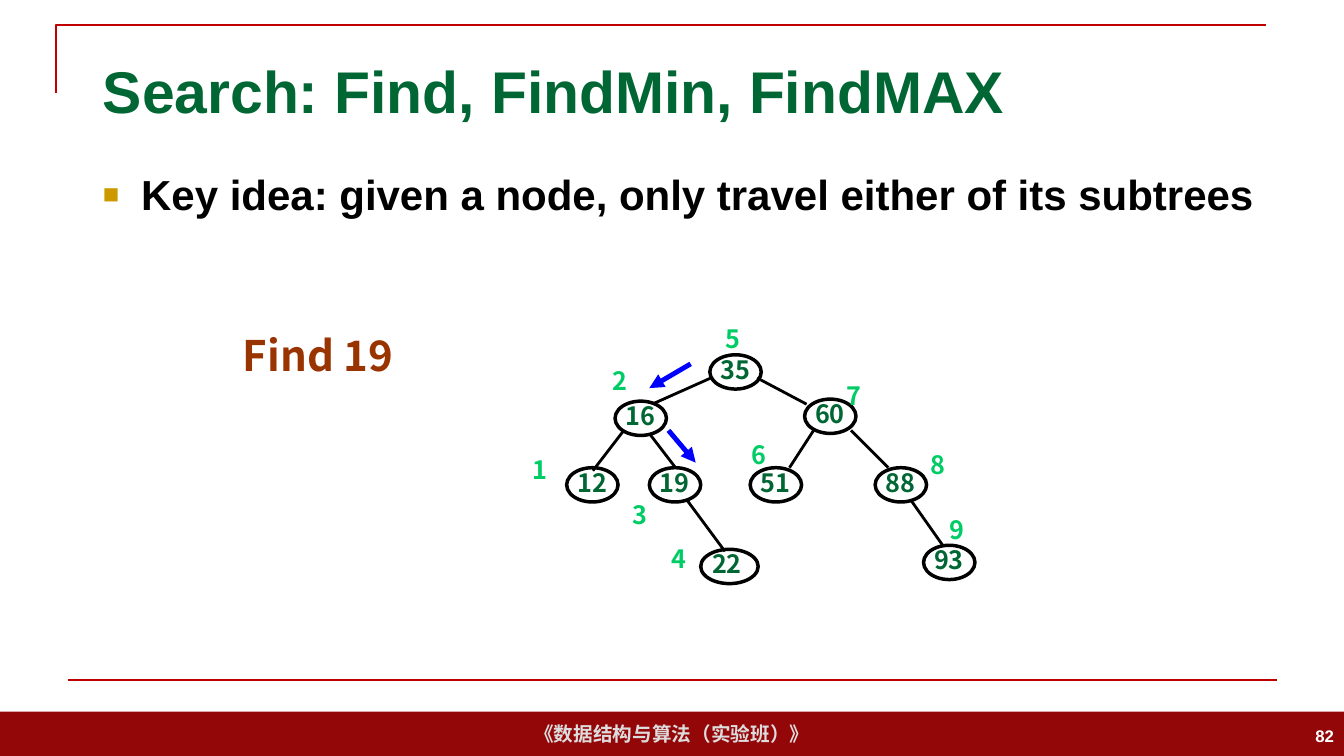
from pptx import Presentation
from pptx.dml.color import RGBColor
from pptx.enum.shapes import MSO_CONNECTOR, MSO_SHAPE
from pptx.enum.text import MSO_ANCHOR, MSO_AUTO_SIZE, PP_ALIGN
from pptx.oxml.ns import qn
from pptx.util import Pt
from lxml.etree import SubElement

PX = 9144  # EMU per px, 100 px to the inch
SANS, CJK = "Arial", "Noto Sans CJK SC"

WHITE = RGBColor(0xFF, 0xFF, 0xFF)
BLACK = RGBColor(0x00, 0x00, 0x00)
GREY = RGBColor(0xDD, 0xDD, 0xDD)
BAR_RED = RGBColor(0x94, 0x07, 0x09)
RULE_RED = RGBColor(0xC0, 0x00, 0x00)
DARK_GREEN = RGBColor(0x00, 0x66, 0x33)
LIGHT_GREEN = RGBColor(0x00, 0xCC, 0x66)
BROWN = RGBColor(0x99, 0x33, 0x00)
BLUE = RGBColor(0x00, 0x00, 0xFF)

# Keys in order: key, node left, top, width, rank left, rank top
NODES = [
    (12, 562, 464, 51, 521, 453),
    (16, 610, 398, 51, 600, 364),
    (19, 644, 464, 51, 620, 497),
    (22, 695, 545, 57, 659, 541),
    (35, 704, 352, 51, 713, 323),
    (51, 744, 464, 51, 738, 438),
    (60, 798, 396, 51, 833, 379),
    (88, 868, 464, 51, 916, 448),
    (93, 916, 541, 51, 935, 512),
]
BRANCHES = [
    (705, 375, 649, 400), (751, 375, 800, 401),
    (618, 428, 588, 467), (644, 430, 670, 464),
    (807, 427, 783, 464), (844, 427, 881, 464),
    (682, 497, 719, 547), (904, 497, 935, 541),
]
SEARCH_STEPS = [(685, 361, 644, 385), (663, 427, 690, 459)]


def emu(*lengths):
    return [length * PX for length in lengths]


def write(shape, text, size, color, font=SANS, align=PP_ALIGN.LEFT,
          anchor=MSO_ANCHOR.TOP, insets=(10, 5, 10, 5), spacing=None):
    frame = shape.text_frame
    frame.text = text
    frame.word_wrap = True
    frame.auto_size = MSO_AUTO_SIZE.NONE
    frame.vertical_anchor = anchor
    (frame.margin_left, frame.margin_top,
     frame.margin_right, frame.margin_bottom) = emu(*insets)
    paragraph = frame.paragraphs[0]
    paragraph.alignment = align
    paragraph.space_before = Pt(0)
    if spacing:
        paragraph.line_spacing = spacing
    run_font = paragraph.runs[0].font
    run_font.name, run_font.size, run_font.bold = font, Pt(size), True
    run_font.color.rgb = color
    return paragraph


def add_label(slide, box, text, size, color, **style):
    write(slide.shapes.add_textbox(*emu(*box)), text, size, color, **style)


def add_line(slide, ends, color, width, arrow=False):
    line = slide.shapes.add_connector(MSO_CONNECTOR.STRAIGHT, *emu(*ends))
    line.line.color.rgb = color
    line.line.width = Pt(width)
    if arrow:
        SubElement(line.line._get_or_add_ln(), qn("a:tailEnd"), type="triangle")
    SubElement(line._element.spPr, qn("a:effectLst"))


def add_node(slide, key, left, top, width):
    node = slide.shapes.add_shape(MSO_SHAPE.OVAL, *emu(left, top, width, 34))
    node.shadow.inherit = False
    node.fill.background()
    node.line.color.rgb = BLACK
    node.line.width = Pt(2.5)
    write(node, str(key), 18, DARK_GREEN, font=CJK, anchor=MSO_ANCHOR.MIDDLE,
          insets=(3, 0, 0, 0), spacing=0.8)


def add_bullet(paragraph):
    properties = paragraph._p.get_or_add_pPr()
    properties.set("marL", str(38 * PX))
    properties.set("indent", str(-38 * PX))
    bullet_color = SubElement(properties, qn("a:buClr"))
    SubElement(bullet_color, qn("a:srgbClr"), val="CC9900")
    SubElement(properties, qn("a:buSzPct"), val="65000")
    SubElement(properties, qn("a:buFont"), typeface=SANS)
    SubElement(properties, qn("a:buChar"), char="■")


def place(placeholder, *box):
    (placeholder.left, placeholder.top,
     placeholder.width, placeholder.height) = emu(*box)
    return placeholder


def add_frame(slide):
    footer = slide.shapes.add_shape(MSO_SHAPE.RECTANGLE, *emu(0, 706, 1333, 44))
    footer.shadow.inherit = False
    footer.fill.solid()
    footer.fill.fore_color.rgb = BAR_RED
    footer.line.fill.background()
    write(footer, "《数据结构与算法（实验班）》", 14, GREY,
          align=PP_ALIGN.CENTER, anchor=MSO_ANCHOR.MIDDLE)

    outline = slide.shapes.build_freeform(56, 92, scale=PX)
    outline.add_line_segments([(56, 25), (1256, 25)], close=False)
    corner = outline.convert_to_shape()
    corner.shadow.inherit = False
    corner.fill.background()
    corner.line.color.rgb = RULE_RED
    corner.line.width = Pt(1.5)

    add_line(slide, (67, 675, 1267, 675), RULE_RED, 1.5)
    add_label(slide, (1033, 710, 300, 40), "82", 12, WHITE,
              align=PP_ALIGN.RIGHT, anchor=MSO_ANCHOR.MIDDLE)


def add_tree(slide):
    for branch in BRANCHES:
        add_line(slide, branch, BLACK, 2)
    for step in SEARCH_STEPS:
        add_line(slide, step, BLUE, 3.5, arrow=True)
    for rank, (key, left, top, width, rank_left, rank_top) in enumerate(NODES, 1):
        add_node(slide, key, left, top, width)
        add_label(slide, (rank_left, rank_top, 38, 34), str(rank), 18,
                  LIGHT_GREEN, font=CJK, insets=(7, 4, 7, 4), spacing=0.8)


def main():
    presentation = Presentation()
    presentation.slide_width, presentation.slide_height = emu(1333, 750)
    slide = presentation.slides.add_slide(presentation.slide_layouts[1])

    # Title and key idea
    title = place(slide.shapes.title, 92, 40, 1150, 99)
    write(title, "Search: Find, FindMin, FindMAX", 42, DARK_GREEN,
          anchor=MSO_ANCHOR.MIDDLE)
    key_idea = place(slide.placeholders[1], 92, 162, 1192, 515)
    add_bullet(write(
        key_idea, "Key idea: given a node, only travel either of its subtrees",
        30, BLACK))

    # Rules, footer and page number
    add_frame(slide)

    # Search example
    add_label(slide, (113, 323, 405, 59), "Find 19", 30, BROWN, font=CJK,
              align=PP_ALIGN.CENTER, insets=(7, 4, 7, 4))
    add_tree(slide)

    presentation.save("out.pptx")


if __name__ == "__main__":
    main()
